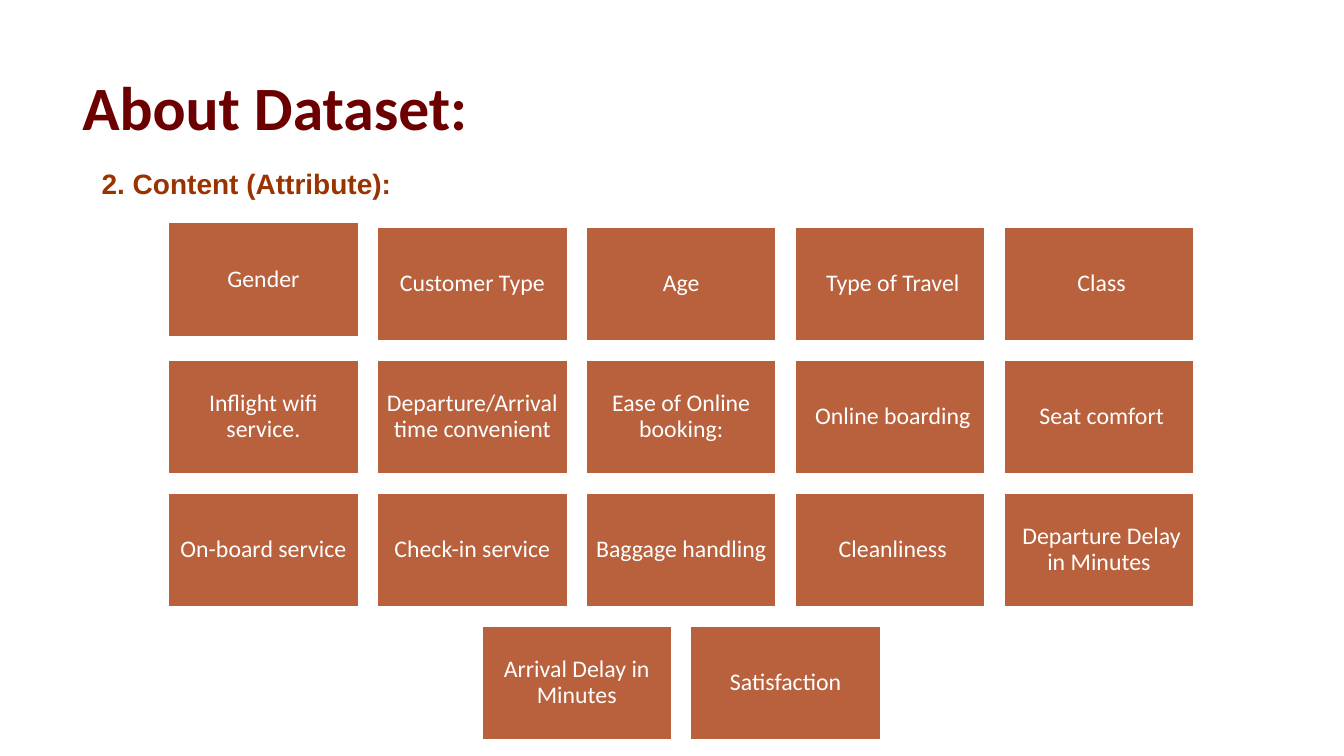
from pptx import Presentation
from pptx.dml.color import RGBColor
from pptx.enum.shapes import MSO_SHAPE
from pptx.enum.text import MSO_ANCHOR, PP_ALIGN
from pptx.util import Pt

COLUMNS = 5
GRID_LEFT, GRID_TOP = 120.4, 162.2
CARD_W, CARD_H = 135.6, 81.3
STEP_X, STEP_Y = 149.2, 95
GENDER_LIFT = 3.2

ATTRIBUTE_ROWS = [
    ["Gender", "Customer Type", "Age", " Type of Travel", " Class"],
    ["Inflight wifi service.", "Departure/Arrival time convenient",
     "Ease of Online booking:", " Online boarding", " Seat comfort"],
    ["On-board service", "Check-in service", "Baggage handling",
     " Cleanliness", " Departure Delay in Minutes"],
    ["Arrival Delay in Minutes", "Satisfaction"],
]


def rgb(value):
    return RGBColor.from_string(value)


def set_text(tf, text, font, size, color, bold=False):
    tf.word_wrap = True
    p = tf.paragraphs[0]
    p.text = text
    p.font.name = font
    p.font.size = Pt(size)
    p.font.bold = bold
    p.font.color.rgb = rgb(color)
    return p


def add_heading(s, text, left, top, width, height, font, size, color):
    tf = s.shapes.add_textbox(Pt(left), Pt(top), Pt(width), Pt(height)).text_frame
    p = set_text(tf, text, font, size, color, bold=True)
    return tf, p


def add_card(s, text, left, top):
    sp = s.shapes.add_shape(MSO_SHAPE.RECTANGLE, Pt(left), Pt(top), Pt(CARD_W), Pt(CARD_H))
    sp.shadow.inherit = False
    sp.fill.solid()
    sp.fill.fore_color.rgb = rgb("B9603D")
    sp.line.color.rgb = rgb("FFFFFF")
    sp.line.width = Pt(1)
    tf = sp.text_frame
    tf.margin_left = tf.margin_right = tf.margin_top = tf.margin_bottom = Pt(5)
    tf.vertical_anchor = MSO_ANCHOR.MIDDLE
    p = set_text(tf, text, "Calibri", 17, "FFFFFF")
    p.alignment = PP_ALIGN.CENTER
    p.line_spacing = 0.9


def add_attribute_grid(s):
    for row, names in enumerate(ATTRIBUTE_ROWS):
        row_left = GRID_LEFT + (COLUMNS - len(names)) * STEP_X / 2
        for column, name in enumerate(names):
            lift = GENDER_LIFT if name == "Gender" else 0
            add_card(s, name, row_left + column * STEP_X, GRID_TOP + row * STEP_Y - lift)


def main():
    prs = Presentation()
    prs.slide_width, prs.slide_height = Pt(960), Pt(540)
    s = prs.slides.add_slide(prs.slide_layouts[6])
    tf, p = add_heading(s, "About Dataset:", 51.8, 46, 828, 65.5, "Calibri", 44, "6C0000")
    tf.vertical_anchor = MSO_ANCHOR.MIDDLE
    p.line_spacing = 0.9
    add_attribute_grid(s)
    add_heading(s, "2. Content (Attribute):", 65.5, 115.2, 244, 31.5, "Arial", 20, "993300")
    prs.save("out.pptx")


if __name__ == "__main__":
    main()
